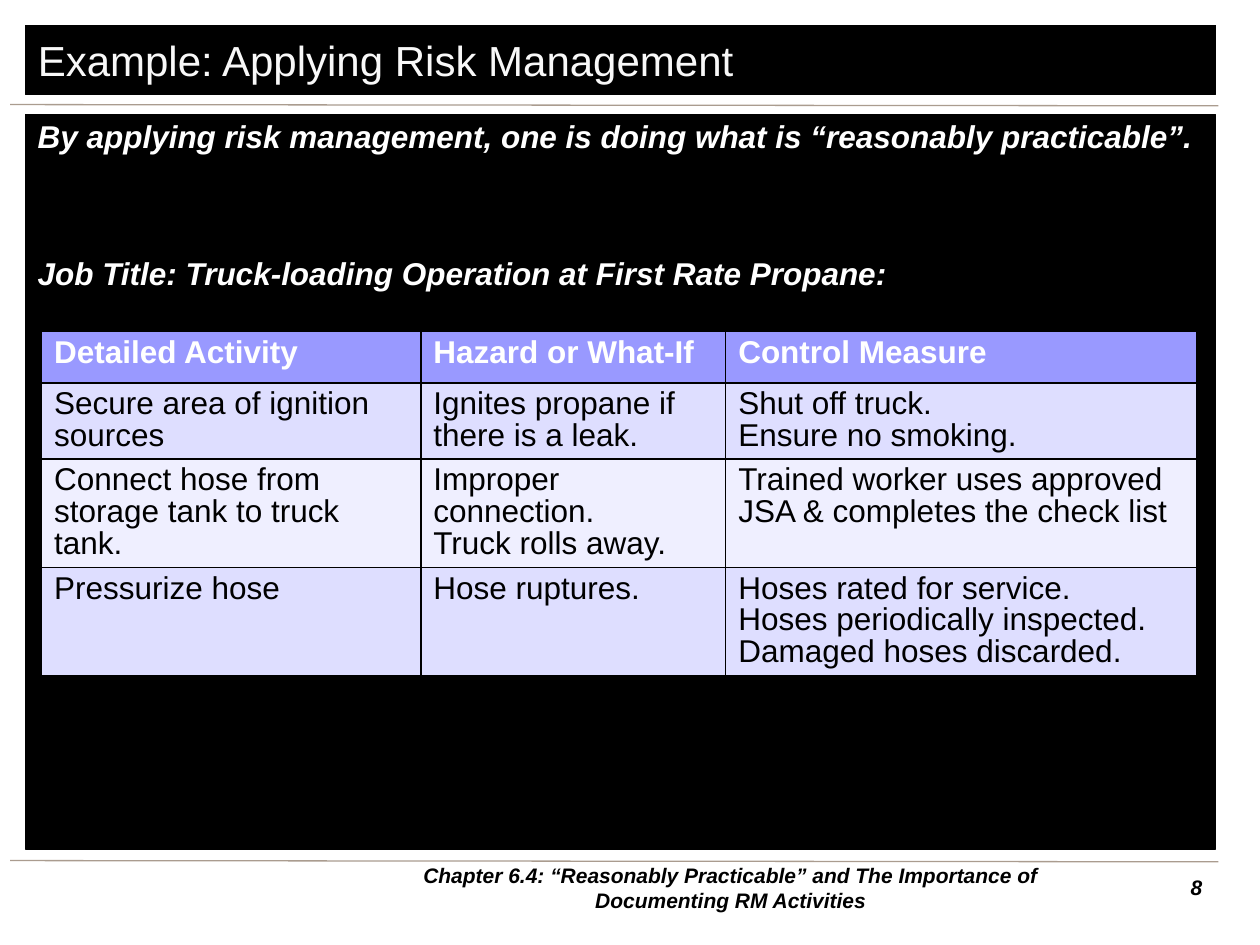
from lxml import etree
from pptx import Presentation
from pptx.dml.color import RGBColor
from pptx.enum.shapes import MSO_CONNECTOR, MSO_SHAPE
from pptx.enum.text import MSO_ANCHOR, PP_ALIGN
from pptx.oxml.ns import qn
from pptx.util import Inches, Pt

STRAIGHT = MSO_CONNECTOR.STRAIGHT
RECTANGLE = MSO_SHAPE.RECTANGLE
TOP, MIDDLE = MSO_ANCHOR.TOP, MSO_ANCHOR.MIDDLE
LEFT, CENTER, RIGHT = PP_ALIGN.LEFT, PP_ALIGN.CENTER, PP_ALIGN.RIGHT

BLACK = RGBColor(0x00, 0x00, 0x00)
WHITE = RGBColor(0xFF, 0xFF, 0xFF)
OFF_WHITE = RGBColor(0xF8, 0xF8, 0xF8)
TAUPE = RGBColor(0xAA, 0x9C, 0x8F)
HEADER_BLUE = RGBColor(0x99, 0x99, 0xFF)
ROW_FILLS = [RGBColor(0xDE, 0xDE, 0xFF), RGBColor(0xEF, 0xEF, 0xFF)]


def format_text(frame, size, color, bold=False, italic=False, align=LEFT, spacing=1.0):
    frame.word_wrap = True
    for paragraph in frame.paragraphs:
        paragraph.alignment = align
        paragraph.line_spacing = spacing
        for run in paragraph.runs:
            run.font.name = "Arial"
            run.font.size = Pt(size)
            run.font.bold = bold
            run.font.italic = italic
            run.font.color.rgb = color


def add_cell_borders(cell):
    properties = cell._tc.get_or_add_tcPr()
    for position, side in enumerate(("a:lnL", "a:lnR", "a:lnT", "a:lnB")):
        border = etree.Element(qn(side), w=str(Pt(1)))
        fill = etree.SubElement(border, qn("a:solidFill"))
        etree.SubElement(fill, qn("a:srgbClr"), val=str(BLACK))
        properties.insert(position, border)


prs = Presentation()
prs.slide_width, prs.slide_height = Inches(10), Inches(7.5)
slide = prs.slides.add_slide(prs.slide_layouts[5])

# Rules above and below the body
for y in (0.83, 6.83):
    rule = slide.shapes.add_connector(
        STRAIGHT, Inches(0.08), Inches(y), Inches(9.67), Inches(y + 0.01))
    rule.line.color.rgb = TAUPE
    rule.line.width = Pt(0.75)
    etree.SubElement(rule._element.spPr, qn("a:effectLst"))

# Title bar
title = slide.shapes.title
title.left, title.top = Inches(0.2), Inches(0.2)
title.width, title.height = Inches(9.45), Inches(0.55)
title.text_frame.text = "Example: Applying Risk Management"
title.text_frame.vertical_anchor = MIDDLE
format_text(title.text_frame, 24, OFF_WHITE)

# Body panel
body = slide.shapes.add_shape(
    RECTANGLE, Inches(0.2), Inches(0.91), Inches(9.45), Inches(5.83))
body.shadow.inherit = False
body.text_frame.vertical_anchor = TOP
body.text_frame.text = (
    "By applying risk management, one is doing what is “reasonably practicable”.\n"
    "Job Title: Truck-loading Operation at First Rate Propane:")
format_text(body.text_frame, 18, WHITE, bold=True, italic=True, spacing=0.9)
body.text_frame.paragraphs[1].space_before = Pt(59)

for panel in (title, body):
    panel.fill.solid()
    panel.fill.fore_color.rgb = BLACK
    panel.line.color.rgb = BLACK
    panel.line.width = Pt(0.75)

# Job safety table
job_steps = [
    ("Detailed Activity", "Hazard or What-If", "Control Measure"),
    ("Secure area of ignition sources", "Ignites propane if there is a leak.",
     "Shut off truck.\nEnsure no smoking."),
    ("Connect hose from storage tank to truck tank.",
     "Improper connection.\nTruck rolls away.",
     "Trained worker uses approved JSA & completes the check list"),
    ("Pressurize hose", "Hose ruptures.",
     "Hoses rated for service.\n"
     "Hoses periodically inspected. Damaged hoses discarded."),
]
column_widths = [3.01, 2.42, 3.74]
row_heights = [0.41, 0.6, 0.86, 0.86]
job_table = slide.shapes.add_table(
    len(job_steps), len(column_widths), Inches(0.33), Inches(2.63),
    Inches(sum(column_widths)), Inches(sum(row_heights))).table
for column, width in zip(job_table.columns, column_widths):
    column.width = Inches(width)
for row, height in zip(job_table.rows, row_heights):
    row.height = Inches(height)

for r, step in enumerate(job_steps):
    is_header = r == 0
    for c, text in enumerate(step):
        cell = job_table.cell(r, c)
        cell.text_frame.text = text
        format_text(cell.text_frame, 18, WHITE if is_header else BLACK,
                    bold=is_header, spacing=0.9)
        cell.fill.solid()
        cell.fill.fore_color.rgb = HEADER_BLUE if is_header else ROW_FILLS[(r - 1) % 2]
        add_cell_borders(cell)

# Footer: chapter and page number
footers = [
    ("Chapter 6.4: “Reasonably Practicable” and The Importance of "
     "Documenting RM Activities", 2.75, 6.1, CENTER, MIDDLE),
    ("8", 9.06, 0.58, RIGHT, TOP),
]
for text, left, width, align, anchor in footers:
    footer = slide.shapes.add_textbox(
        Inches(left), Inches(6.89), Inches(width), Inches(0.31))
    footer.text_frame.text = text
    footer.text_frame.vertical_anchor = anchor
    format_text(footer.text_frame, 12, BLACK, bold=True, italic=True, align=align)

prs.save("out.pptx")
